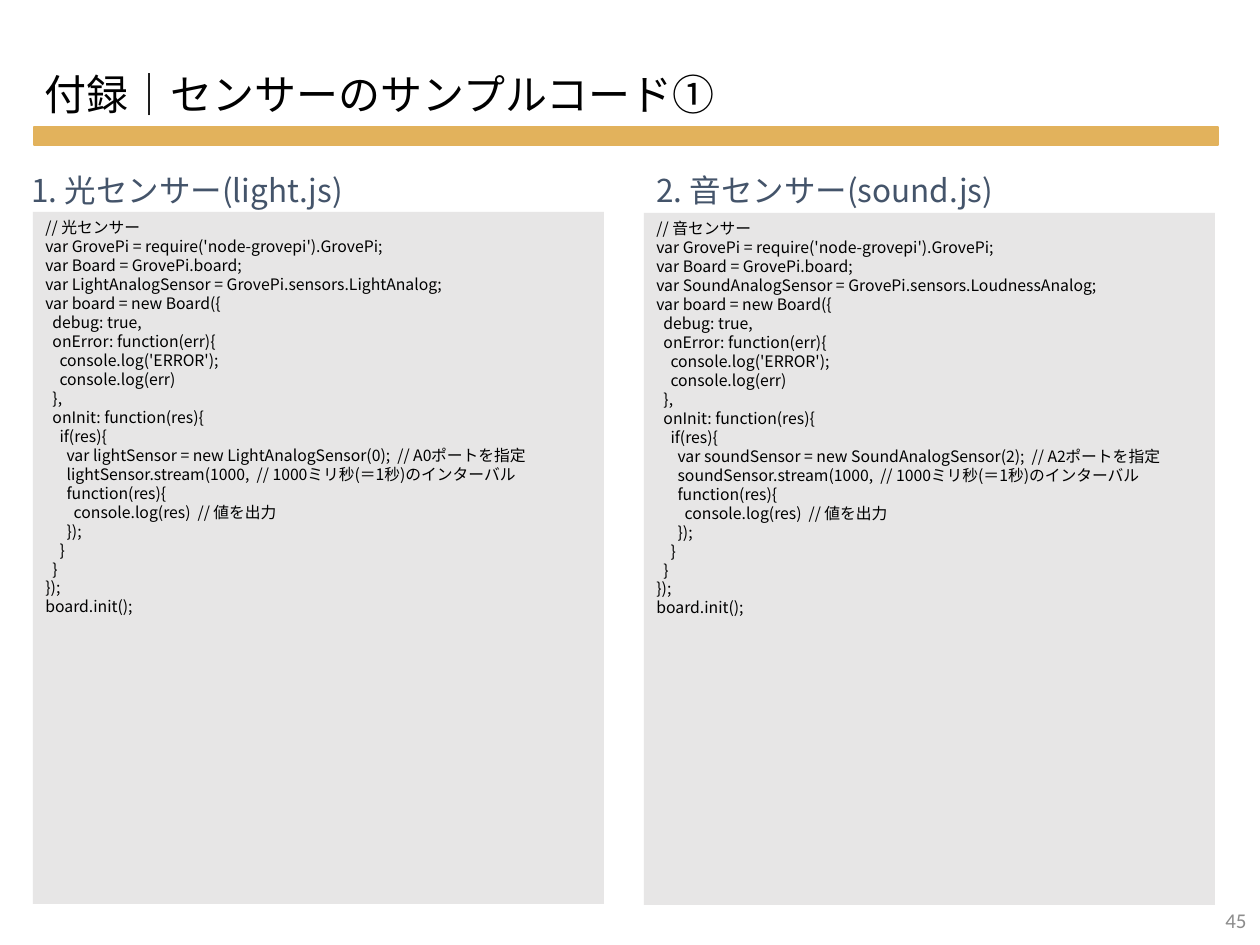
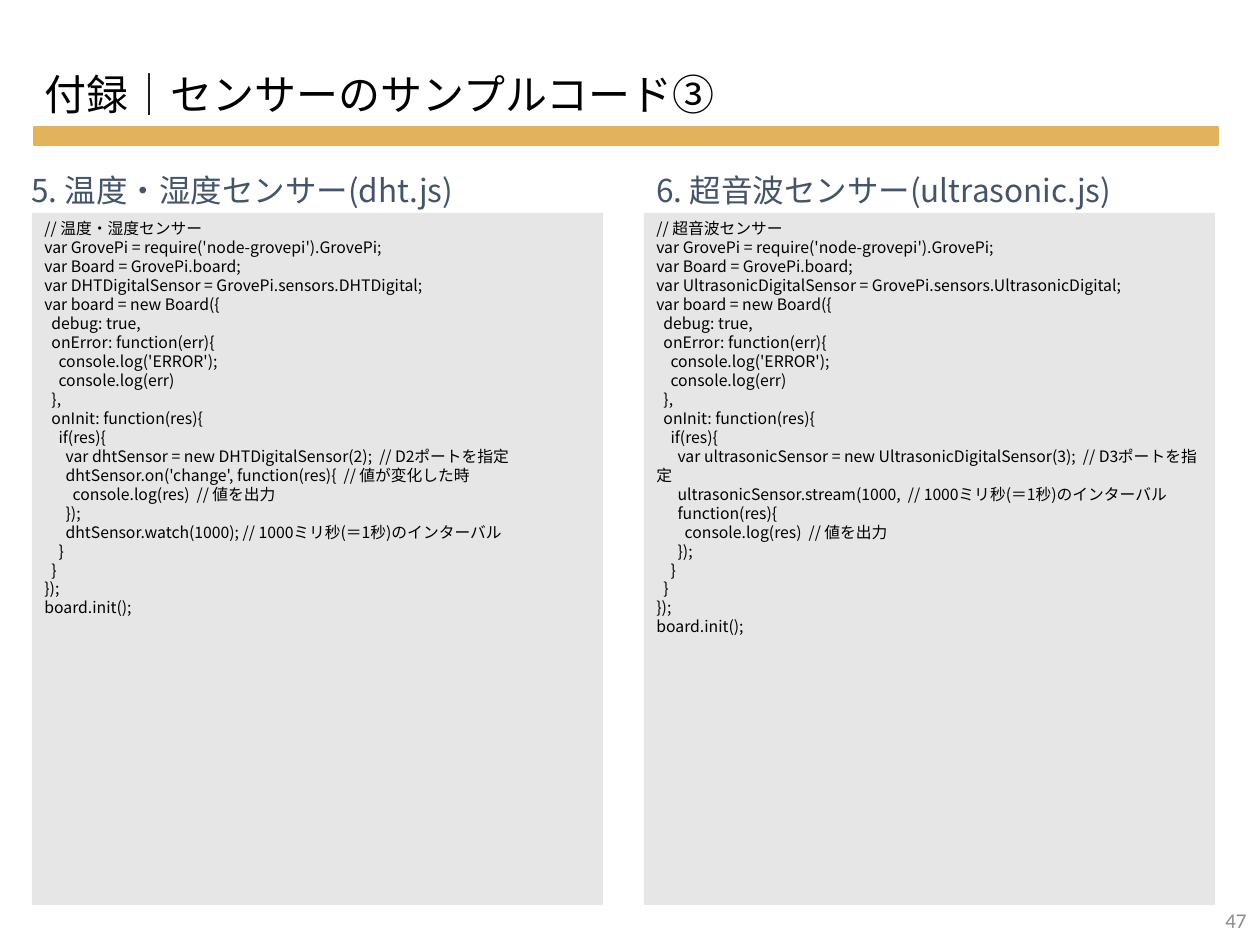
from pptx import Presentation
from pptx import util as u
from pptx.dml.color import RGBColor
from pptx.enum import shapes, text
from pptx.oxml.ns import qn
from lxml import etree

PX = 914400 / 126
GOLD = RGBColor(0xE2, 0xB2, 0x5C)
PANEL_GREY = RGBColor(0xE7, 0xE6, 0xE6)
NUMBER_GREY = RGBColor(0x8C, 0x8C, 0x8C)
SLATE = RGBColor(0x44, 0x54, 0x6A)
BLACK = RGBColor(0, 0, 0)
JAPANESE_FONT = "Noto Sans CJK JP"
NUMBER_FONT = "Calibri"

CODE_START = """// {name}
var GrovePi = require('node-grovepi').GrovePi;
var Board = GrovePi.board;
var {sensor} = GrovePi.sensors.{driver};
var board = new Board({{
  debug: true,
  onError: function(err){{
    console.log('ERROR');
    console.log(err)
  }},
  onInit: function(res){{
    if(res){{
      var {variable} = new {sensor}({pin});  // {port}ポートを指定
"""
STREAM_BODY = """      {variable}.stream(1000,  // 1000ミリ秒(＝1秒)のインターバル
      function(res){{
        console.log(res)  // 値を出力
      }});
"""
CHANGE_BODY = """      {variable}.on('change', function(res){{  // 値が変化した時
        console.log(res)  // 値を出力
      }});
      {variable}.watch(1000); // 1000ミリ秒(＝1秒)のインターバル
"""
CODE_END = """    }}
  }}
}});
board.init();"""

# Each sample: heading left and width, panel left and top, number, file, body, code fields
SLIDES = [
    ("①", 45, [
        (19, 386, 33, 212, 1, "light.js", STREAM_BODY, dict(
            name="光センサー", sensor="LightAnalogSensor", driver="LightAnalog",
            variable="lightSensor", pin=0, port="A0")),
        (644, 412, 644, 213, 2, "sound.js", STREAM_BODY, dict(
            name="音センサー", sensor="SoundAnalogSensor", driver="LoudnessAnalog",
            variable="soundSensor", pin=2, port="A2")),
    ]),
    ("③", 47, [
        (19, 493, 32, 213, 5, "dht.js", CHANGE_BODY, dict(
            name="温度・湿度センサー", sensor="DHTDigitalSensor", driver="DHTDigital",
            variable="dhtSensor", pin=2, port="D2")),
        (644, 539, 644, 213, 6, "ultrasonic.js", STREAM_BODY, dict(
            name="超音波センサー", sensor="UltrasonicDigitalSensor", driver="UltrasonicDigital",
            variable="ultrasonicSensor", pin=3, port="D3")),
    ]),
]


def box(*lengths):
    """Turn px lengths into EMU."""
    return [u.Emu(round(length * PX)) for length in lengths]


def write(shape, content, size, color, line_points=None, font=JAPANESE_FONT,
          align=text.PP_ALIGN.LEFT, anchor=text.MSO_ANCHOR.TOP, wrap=True):
    """Fill a shape with one paragraph per line; line_points sets an exact line height."""
    frame = shape.text_frame
    frame.word_wrap = wrap
    frame.vertical_anchor = anchor
    for index, line in enumerate(content.split("\n")):
        paragraph = frame.add_paragraph() if index else frame.paragraphs[0]
        paragraph.alignment = align
        if line_points:
            paragraph.line_spacing = u.Pt(line_points)
        run = paragraph.add_run()
        run.text = line
        run.font.size = u.Pt(size)
        run.font.name = font
        run.font.color.rgb = color
        east_asian = etree.SubElement(run.font._element, qn("a:ea"))
        east_asian.set("typeface", font)


presentation = Presentation()
presentation.slide_width, presentation.slide_height = box(1260, 945)

for mark, page, samples in SLIDES:
    slide = presentation.slides.add_slide(presentation.slide_layouts[6])

    band = slide.shapes.add_shape(shapes.MSO_SHAPE.RECTANGLE, *box(34, 127, 1184, 18))
    band.shadow.inherit = False
    band.fill.solid()
    band.fill.fore_color.rgb = GOLD
    band.line.color.rgb = GOLD
    band.line.width = u.Pt(1)

    title = slide.shapes.add_textbox(*box(32, 60, 1183, 64))
    write(title, f"付録｜センサーのサンプルコード{mark}", 24, BLACK, 30)

    page_number = slide.shapes.add_textbox(*box(965, 895, 294, 50))
    write(page_number, str(page), 12, NUMBER_GREY, font=NUMBER_FONT,
          align=text.PP_ALIGN.RIGHT, anchor=text.MSO_ANCHOR.MIDDLE)

    for heading_left, heading_width, left, top, number, file_name, body, fields in samples:
        heading = slide.shapes.add_textbox(*box(heading_left, 163, heading_width, 50))
        write(heading, f"{number}. {fields['name']}({file_name})", 18, SLATE, 22.5, wrap=False)
        heading.text_frame.auto_size = text.MSO_AUTO_SIZE.SHAPE_TO_FIT_TEXT

        panel = slide.shapes.add_shape(shapes.MSO_SHAPE.RECTANGLE, *box(left, top, 571, 692))
        panel.shadow.inherit = False
        panel.fill.solid()
        panel.fill.fore_color.rgb = PANEL_GREY
        panel.line.fill.background()
        code = (CODE_START + body + CODE_END).format(**fields)
        write(panel, code, 9, BLACK, 10.83)

presentation.save("out.pptx")
